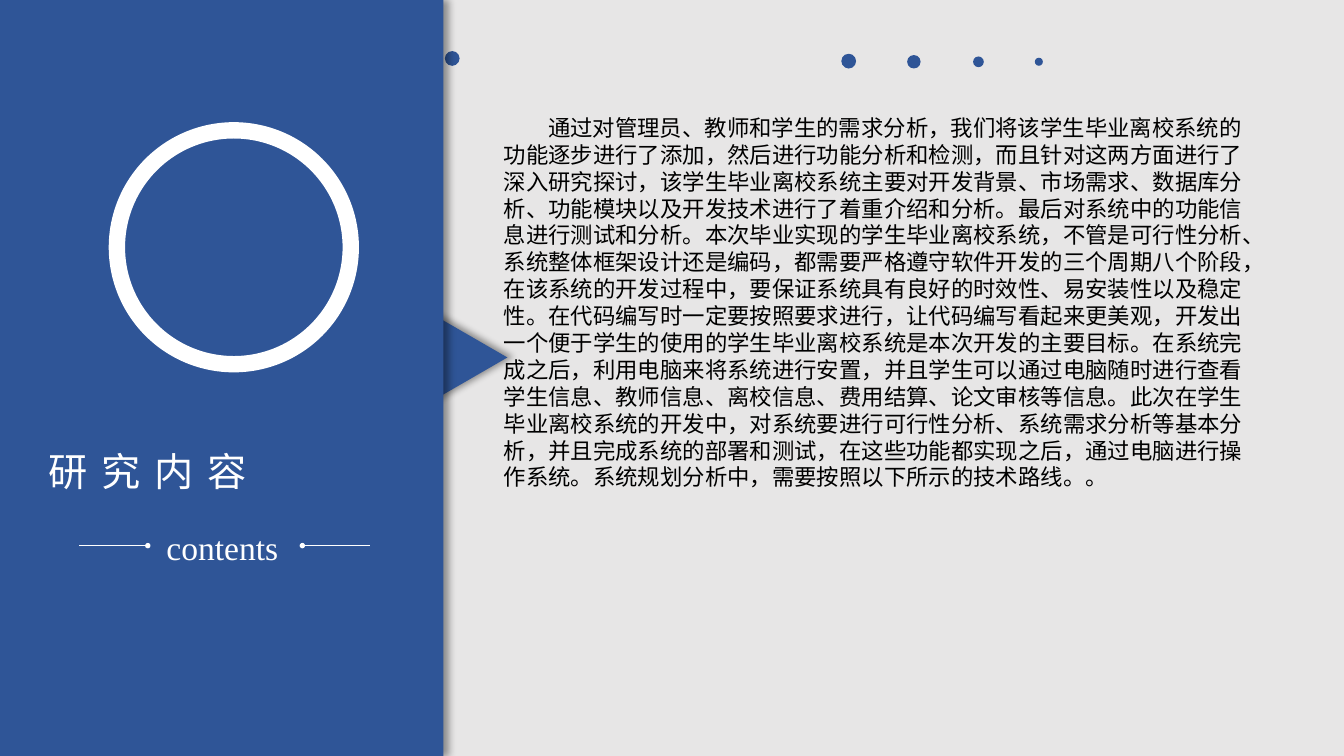
"""Build the research contents slide on a grid of 100 columns, each a hundredth of its width."""
from lxml import etree
from pptx import Presentation
from pptx import util as u
from pptx.dml.color import RGBColor
from pptx.enum import shapes, text
from pptx.oxml import ns

WIDTH = u.Inches(10)
HEIGHT = u.Emu(WIDTH * 9 // 16)
COLUMN = WIDTH / 100
ROWS = HEIGHT / COLUMN
BLUE = RGBColor(0x2F, 0x55, 0x97)
WHITE = RGBColor(0xFF, 0xFF, 0xFF)
BLACK = RGBColor(0, 0, 0)
GREY = RGBColor(0xE7, 0xE6, 0xE6)

DOTS = [(33.1, 3.8, 1.1), (62.6, 4, 1.1), (67.5, 4.1, 1), (72.4, 4.2, 0.8), (77, 4.3, 0.6)]
RULE_ROW = 40.6
RULES = [(11, 5.9), (22.5, 27.5)]
BODY = (
    "通过对管理员、教师和学生的需求分析，我们将该学生毕业离校系统的功能逐步进行了添加，"
    "然后进行功能分析和检测，而且针对这两方面进行了深入研究探讨，该学生毕业离校系统主要对开发背景、"
    "市场需求、数据库分析、功能模块以及开发技术进行了着重介绍和分析。最后对系统中的功能信息进行测试和分析。"
    "本次毕业实现的学生毕业离校系统，不管是可行性分析、系统整体框架设计还是编码，"
    "都需要严格遵守软件开发的三个周期八个阶段，在该系统的开发过程中，"
    "要保证系统具有良好的时效性、易安装性以及稳定性。在代码编写时一定要按照要求进行，"
    "让代码编写看起来更美观，开发出一个便于学生的使用的学生毕业离校系统是本次开发的主要目标。"
    "在系统完成之后，利用电脑来将系统进行安置，并且学生可以通过电脑随时进行查看学生信息、教师信息、"
    "离校信息、费用结算、论文审核等信息。此次在学生毕业离校系统的开发中，"
    "对系统要进行可行性分析、系统需求分析等基本分析，并且完成系统的部署和测试，"
    "在这些功能都实现之后，通过电脑进行操作系统。系统规划分析中，需要按照以下所示的技术路线。。"
)


def grid(*lengths):
    """Turn counts of grid columns into slide lengths."""
    return [u.Emu(round(length * COLUMN)) for length in lengths]


def apply(target, values):
    """Set each named attribute of the target."""
    for name, value in values.items():
        setattr(target, name, value)


def add_shadow(shape):
    """Cast a soft black shadow to the right of the shape."""
    effects = shape._element.spPr.find(ns.qn("a:effectLst"))
    shadow = etree.SubElement(effects, ns.qn("a:outerShdw"), blurRad=str(u.Pt(4)),
                              dist=str(u.Pt(3)), dir="0", algn="l", rotWithShape="0")
    color = etree.SubElement(shadow, ns.qn("a:srgbClr"), val=str(BLACK))
    etree.SubElement(color, ns.qn("a:alpha"), val="40000")


def add_shape(slide, kind, box, fill=BLUE):
    """Add a flat filled shape without an outline."""
    shape = slide.shapes.add_shape(kind, *grid(*box))
    shape.shadow.inherit = False
    shape.fill.solid()
    shape.fill.fore_color.rgb = fill
    shape.line.fill.background()
    return shape


def add_ring(slide, box, color, weight):
    """Add an unfilled circle with a thick outline."""
    ring = add_shape(slide, shapes.MSO_SHAPE.OVAL, box)
    ring.fill.background()
    ring.line.color.rgb = color
    ring.line.width = u.Pt(weight)


def add_rule(slide, start, end, row):
    """Add a thin white rule with a dot at its start."""
    rule = slide.shapes.add_connector(shapes.MSO_CONNECTOR.STRAIGHT, *grid(start, row, end, row))
    rule.line.color.rgb = WHITE
    rule.line.width = u.Pt(0.5)
    etree.SubElement(rule._element.spPr, ns.qn("a:effectLst"))
    add_shape(slide, shapes.MSO_SHAPE.OVAL, (start - 0.2, row - 0.2, 0.4, 0.4), WHITE)


def add_text(slide, box, words, size, font, color, wrap=False):
    """Add a text box of one paragraph and return that paragraph."""
    frame = slide.shapes.add_textbox(*grid(*box)).text_frame
    apply(frame, {"word_wrap": wrap, "auto_size": text.MSO_AUTO_SIZE.SHAPE_TO_FIT_TEXT})
    paragraph = frame.paragraphs[0]
    run = paragraph.add_run()
    run.text = words
    apply(run.font, {"size": u.Pt(size), "name": font})
    run.font.color.rgb = color
    return paragraph


def add_title(slide):
    """Add the widely spaced title."""
    paragraph = add_text(slide, (2.6, 32.8, 17.8, 4.5), "研究内容", 21, "Noto Sans CJK JP", WHITE)
    properties = paragraph.runs[0].font._element
    properties.set("spc", "750")
    etree.SubElement(properties, ns.qn("a:ea"), typeface="Noto Sans CJK JP")


def add_body(slide):
    """Add the body paragraph with its first line indented."""
    paragraph = add_text(slide, (36.5, 8, 57.3, 29.3), BODY, 12, "Calibri", BLACK, wrap=True)
    paragraph.line_spacing = u.Pt(14.4)
    paragraph._p.get_or_add_pPr().set("indent", str(grid(3.3)[0]))


def add_panel(slide):
    """Add the blue side panel and its pointer."""
    pointer = add_shape(slide, shapes.MSO_SHAPE.ISOSCELES_TRIANGLE, (31.5, 23.7, 6.7, 5.8))
    pointer.rotation = 90
    panel = add_shape(slide, shapes.MSO_SHAPE.RECTANGLE, (0, 0, 33, ROWS))
    for shape in (pointer, panel):
        add_shadow(shape)


def main():
    """Build and save the slide."""
    presentation = Presentation()
    apply(presentation, {"slide_width": WIDTH, "slide_height": HEIGHT})
    slide = presentation.slides.add_slide(presentation.slide_layouts[6])
    slide.background.fill.solid()
    slide.background.fill.fore_color.rgb = GREY
    for left, top, size in DOTS:
        add_shape(slide, shapes.MSO_SHAPE.OVAL, (left, top, size, size))
    add_panel(slide)
    add_ring(slide, (8.7, 9.7, 17.4, 17.4), WHITE, 8.75)
    add_title(slide)
    add_text(slide, (11.4, 38.7, 10.7, 4), "contents", 18, "Times New Roman", WHITE)
    for start, end in RULES:
        add_rule(slide, start, end, RULE_ROW)
    add_body(slide)
    presentation.save("out.pptx")


if __name__ == "__main__":
    main()
